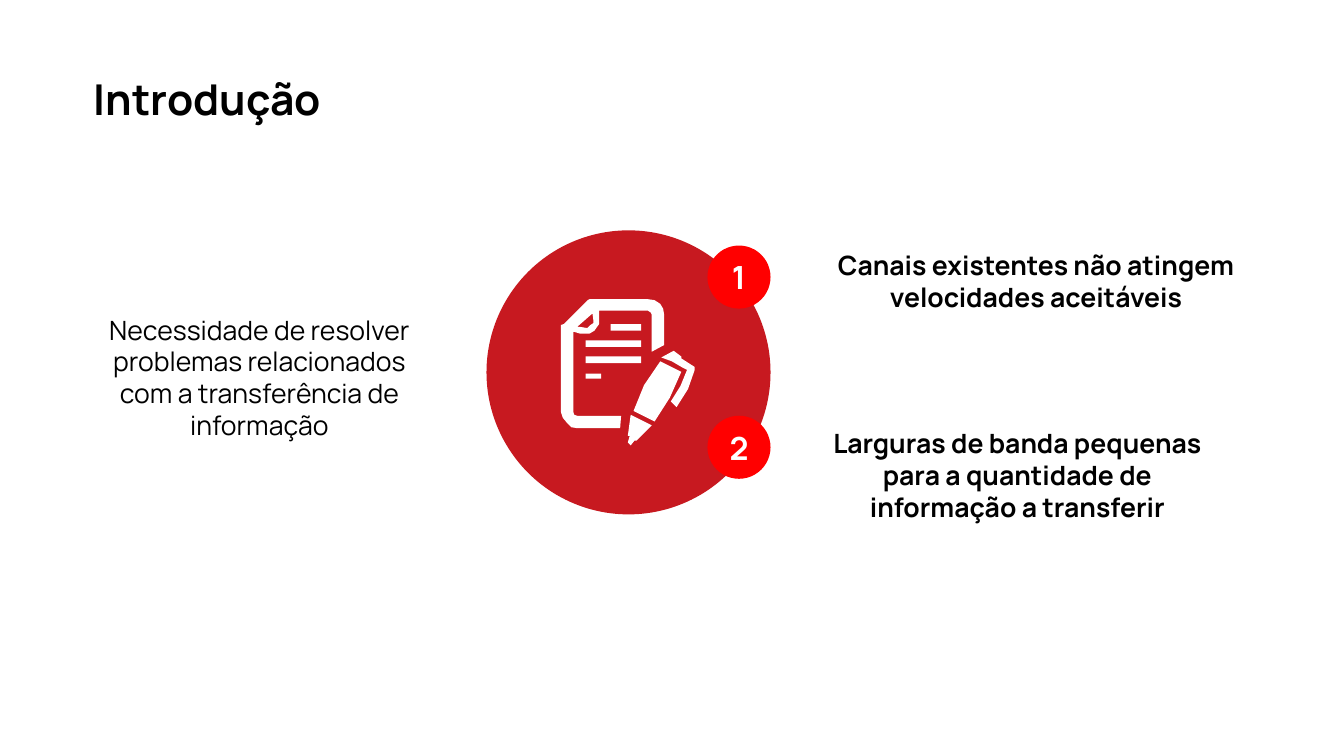
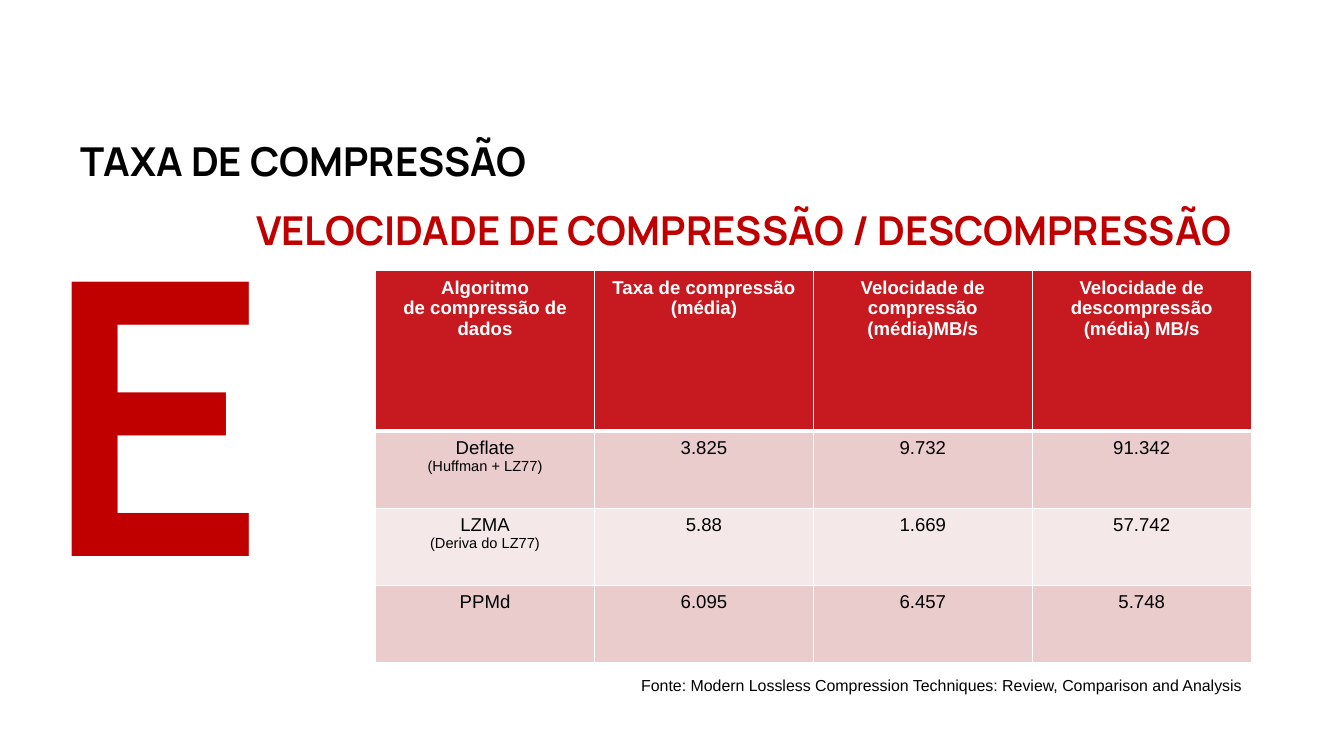
from dataclasses import dataclass

from lxml.etree import SubElement
from pptx import Presentation
from pptx.dml.color import RGBColor
from pptx.enum.shapes import MSO_SHAPE
from pptx.enum.text import MSO_ANCHOR, MSO_AUTO_SIZE, PP_ALIGN
from pptx.oxml.ns import qn
from pptx.util import Pt


@dataclass(frozen=True)
class Theme:
    heading_font: str = "Manrope"
    table_font: str = "Arial"
    black: str = "000000"
    white: str = "FFFFFF"
    crimson: str = "C71920"
    red: str = "FF0000"
    dark_red: str = "C00000"
    bands: tuple = ("EBCCCD", "F5E8E8")
    title: float = 32
    headline: float = 30
    body: float = 20
    badge: float = 24
    cell: float = 14
    note: float = 11
    source: float = 12
    letter: float = 287


THEME = Theme()
SLIDE_SIZE = (1012.5, 569.5)

INTRO_TITLE = "Introdução"
NEED = "Necessidade de resolver problemas relacionados com a transferência de informação"
PROBLEMS = [
    ("Canais existentes não atingem velocidades aceitáveis", (608.4, 184.3, 344.2, 55.4), 185),
    ("Larguras de banda pequenas para a quantidade de informação a transferir",
     (608.4, 318.2, 316.1, 79.9), 313.2),
]
CIRCLE = (366.5, 173.5, 214, 214)
BADGE_SIZE = 47.5

ICON_ORIGIN = (422.6, 225.4)
ICON_UNIT = 0.72
ICON_BARS = [(26, 78, 16, 5), (26, 60, 58, 7), (26, 43, 58, 7), (52, 26, 32, 7)]
ICON_OUTLINES = {
    "sheet": [(33, 0), (91, 0), (98, 1), (104, 5), (107, 10), (108, 16), (108, 48), (95, 55),
              (95, 16), (94, 14), (91, 12), (40, 12), (40, 26), (35, 33), (30, 36), (20, 36),
              (13, 34), (13, 118), (14, 121), (17, 122), (63, 122), (62, 135), (17, 135),
              (11, 134), (6, 129), (2, 124), (0, 118), (0, 27), (3, 26), (28, 1), (30, 0)],
    "clip": [(126, 62), (126, 60), (118, 54), (105, 61), (116, 65), (128, 72), (132, 74),
             (125, 91), (115, 107), (121, 113), (133, 94), (140, 74), (140, 71), (137, 69)],
    "barrel": [(104, 65), (87, 90), (76, 117), (98, 128), (114, 103), (126, 76)],
    "nib": [(73, 121), (70, 143), (72, 143), (70, 150), (73, 153), (77, 148), (79, 148),
            (95, 132)],
    "fold": [(17, 29), (20, 29), (26, 30), (28, 30), (31, 27), (34, 25), (34, 22), (33, 15)],
}

RATE_TITLE = "TAXA DE COMPRESSÃO"
SPEED_TITLE = "VELOCIDADE DE COMPRESSÃO / DESCOMPRESSÃO"
SOURCE = "Fonte: Modern Lossless Compression Techniques: Review, Comparison and Analysis"
ALGORITHMS = [
    [["Algoritmo", "de compressão de dados"], ["Taxa de compressão", "(média)"],
     ["Velocidade de compressão", "(média)MB/s"], ["Velocidade de descompressão (média) MB/s"]],
    [["Deflate", "(Huffman + LZ77)"], ["3.825"], ["9.732"], ["91.342"]],
    [["LZMA", "(Deriva do LZ77)"], ["5.88"], ["1.669"], ["57.742"]],
    [["PPMd"], ["6.095"], ["6.457"], ["5.748"]],
]
TABLE_CORNER = (283, 203.8)
COLUMN_WIDTH = 164.9
ROW_HEIGHTS = [120.8, 58.2, 58.2, 58.2]
CELL_MARGIN = 5


def color(value):
    return RGBColor.from_string(value)


def points(values):
    return [Pt(value) for value in values]


def write(frame, lines, size, font=THEME.heading_font, ink=THEME.black, bold=False,
          align=PP_ALIGN.LEFT, note_size=None):
    for index, line in enumerate(lines):
        para = frame.paragraphs[0] if index == 0 else frame.add_paragraph()
        para.alignment = align
        span = para.add_run()
        span.text = line
        span.font.name = font
        span.font.size = Pt(note_size if index and note_size else size)
        span.font.bold = bold
        span.font.color.rgb = color(ink)


def add_text(page, text, place, size, **style):
    frame = page.shapes.add_textbox(*points(place)).text_frame
    frame.word_wrap = True
    frame.auto_size = MSO_AUTO_SIZE.SHAPE_TO_FIT_TEXT
    write(frame, [text], size, **style)


def add_page(deck, title, place, size, anchor, margins=None):
    page = deck.slides.add_slide(deck.slide_layouts[5])
    box = page.shapes.title
    box.left, box.top, box.width, box.height = points(place)
    frame = box.text_frame
    frame.word_wrap = True
    frame.auto_size = MSO_AUTO_SIZE.NONE
    frame.vertical_anchor = anchor
    if margins is not None:
        frame.margin_left = frame.margin_right = Pt(margins)
        frame.margin_top = frame.margin_bottom = Pt(margins)
    write(frame, [title], size, bold=True)
    return page


def paint(shape, fill):
    shape.shadow.inherit = False
    shape.fill.solid()
    shape.fill.fore_color.rgb = color(fill)
    shape.line.fill.background()


def add_circle(page, place, fill):
    circle = page.shapes.add_shape(MSO_SHAPE.OVAL, *points(place))
    paint(circle, fill)
    return circle


def add_document_icon(page):
    bars = [[(x, y), (x, y + h), (x + w, y + h), (x + w, y)] for x, y, w, h in ICON_BARS]
    first, *others = [*ICON_OUTLINES.values(), *bars]
    builder = page.shapes.build_freeform(*first[0], scale=Pt(ICON_UNIT))
    builder.add_line_segments(first[1:], close=True)
    for outline in others:
        builder.move_to(*outline[0])
        builder.add_line_segments(outline[1:], close=True)
    paint(builder.convert_to_shape(*points(ICON_ORIGIN)), THEME.white)


def set_borders(cell, widths):
    properties = cell._tc.get_or_add_tcPr()
    for side, width in widths.items():
        line = SubElement(properties, qn(f"a:ln{side}"), w=str(Pt(width)))
        fill = SubElement(line, qn("a:solidFill"))
        SubElement(fill, qn("a:srgbClr"), val=THEME.white)


def add_algorithm_table(page):
    columns = len(ALGORITHMS[0])
    size = (COLUMN_WIDTH * columns, sum(ROW_HEIGHTS))
    table = page.shapes.add_table(len(ALGORITHMS), columns,
                                  *points(TABLE_CORNER + size)).table
    for column in table.columns:
        column.width = Pt(COLUMN_WIDTH)
    for row, cells in enumerate(ALGORITHMS):
        table.rows[row].height = Pt(ROW_HEIGHTS[row])
        header = row == 0
        for column, lines in enumerate(cells):
            cell = table.cell(row, column)
            cell.margin_left = cell.margin_right = Pt(CELL_MARGIN)
            cell.margin_top = cell.margin_bottom = Pt(CELL_MARGIN)
            set_borders(cell, {"L": 1, "R": 1, "T": 3 if row == 1 else 1,
                               "B": 3 if header else 1})
            cell.fill.solid()
            cell.fill.fore_color.rgb = color(
                THEME.crimson if header else THEME.bands[(row - 1) % 2])
            write(cell.text_frame, lines, THEME.cell, font=THEME.table_font, bold=header,
                  ink=THEME.white if header else THEME.black, align=PP_ALIGN.CENTER,
                  note_size=None if header else THEME.note)


def build_introduction(deck):
    page = add_page(deck, INTRO_TITLE, (70.6, 45.4, 276.5, 58.3), THEME.title,
                    MSO_ANCHOR.MIDDLE, margins=0)
    add_text(page, NEED, (61.9, 232.6, 267.1, 104.4), THEME.body, align=PP_ALIGN.CENTER)
    add_circle(page, CIRCLE, THEME.crimson)
    badge_left = CIRCLE[0] + CIRCLE[2] - BADGE_SIZE
    for number, (text, place, badge_top) in enumerate(PROBLEMS, 1):
        add_text(page, text, place, THEME.body, bold=True, align=PP_ALIGN.CENTER)
        badge = add_circle(page, (badge_left, badge_top, BADGE_SIZE, BADGE_SIZE), THEME.red)
        badge.text_frame.vertical_anchor = MSO_ANCHOR.MIDDLE
        write(badge.text_frame, [str(number)], THEME.badge, ink=THEME.white, bold=True,
              align=PP_ALIGN.CENTER)
    add_document_icon(page)


def build_comparison(deck):
    page = add_page(deck, RATE_TITLE, (53.3, 99.4, 452.9, 43.9), THEME.headline,
                    MSO_ANCHOR.TOP)
    add_text(page, SPEED_TITLE, (185.8, 151.2, 826.6, 43.9), THEME.headline,
             ink=THEME.dark_red, bold=True)
    add_text(page, "E", (27.4, 128.9, 295.9, 355), THEME.letter,
             ink=THEME.dark_red, bold=True)
    add_algorithm_table(page)
    add_text(page, SOURCE, (475.9, 505.4, 530, 21.6), THEME.source, font=THEME.table_font)


def main():
    deck = Presentation()
    deck.slide_width, deck.slide_height = points(SLIDE_SIZE)
    build_introduction(deck)
    build_comparison(deck)
    deck.save("out.pptx")


if __name__ == "__main__":
    main()
